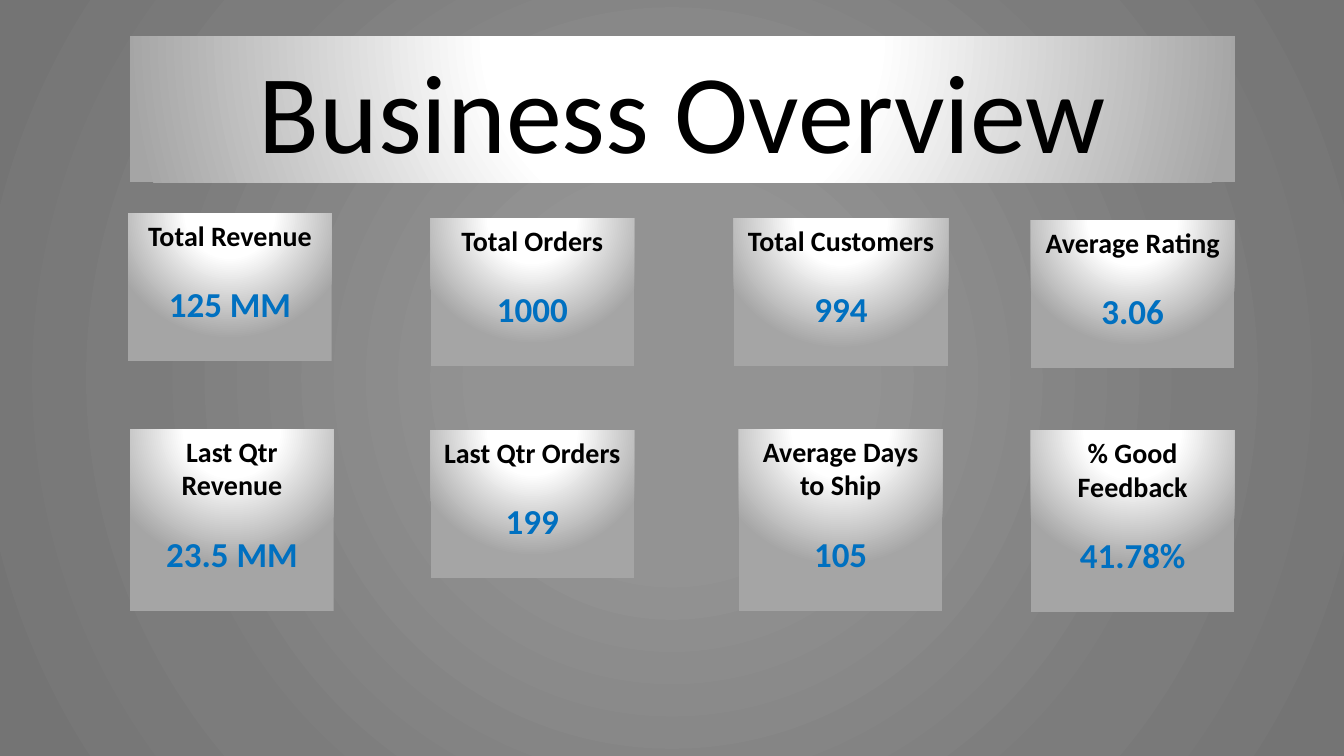
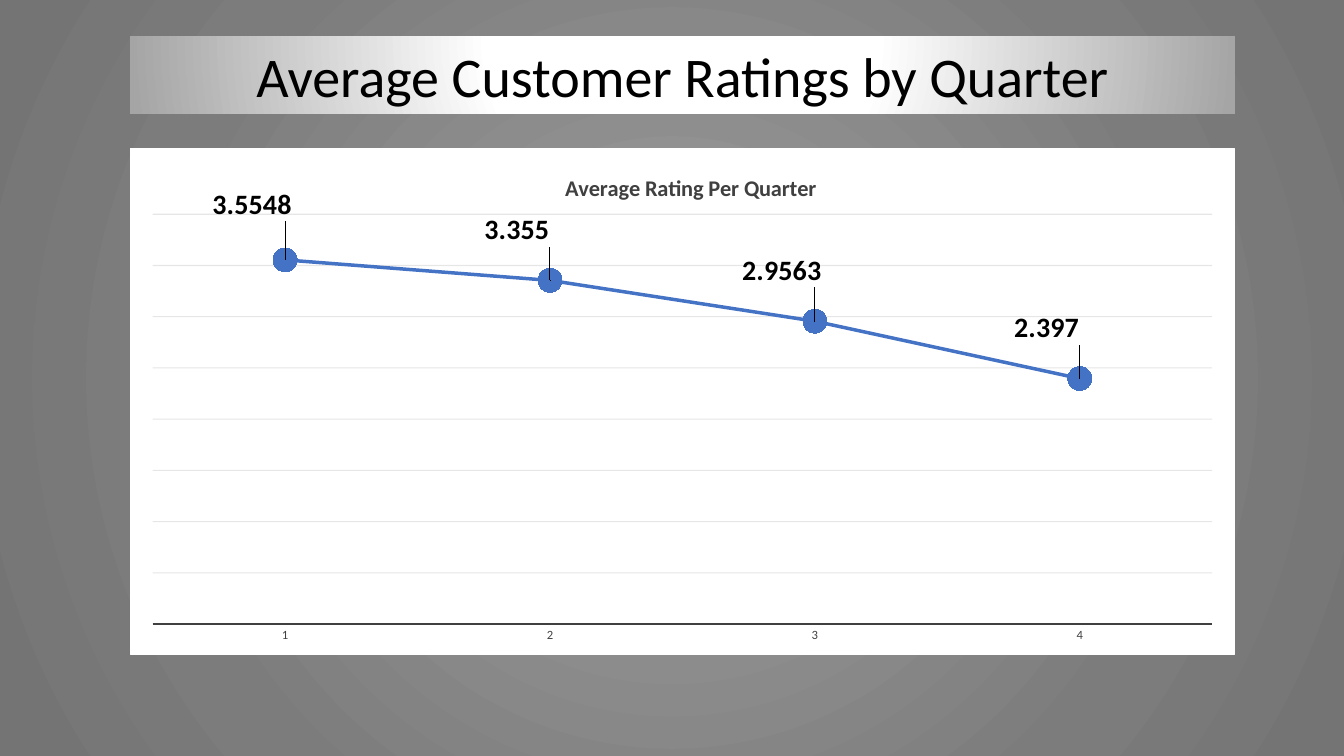
"""Build a two-slide business overview: key figures and customer ratings."""
import pptx
import pptx.chart.data
import pptx.dml.color
import pptx.enum.chart
import pptx.enum.shapes
import pptx.enum.text
import pptx.oxml
import pptx.oxml.ns
import pptx.util

Cm = pptx.util.Cm
Pt = pptx.util.Pt
qn = pptx.oxml.ns.qn
FONT = "Calibri"
HEX = {
    "text": "000000",
    "value": "0070C0",
    "white": "FFFFFF",
    "silver": "A5A5A5",
    "centre": "939393",
    "middle": "7C7C7C",
    "edge": "747474",
    "axis": "404040",
    "grid": "0D0D0D",
    "series": "4472C4",
}
COLORS = {name: pptx.dml.color.RGBColor.from_string(value) for name, value in HEX.items()}
BACKGROUND_STOPS = [(0, "centre"), (23, "centre"), (69, "middle"), (97, "edge")]
PANEL_STOPS = [(0, "white"), (35, "white"), (100, "silver")]


def set_radial_fill(owner, fill, stops, top, bottom):
    fill.gradient()
    gradient = next(owner.element.iter(qn("a:gradFill")))
    stop_xml = "".join(
        f'<a:gs pos="{position * 1000}"><a:srgbClr val="{HEX[name]}"/></a:gs>'
        for position, name in stops
    )
    gradient.getparent().replace(gradient, pptx.oxml.parse_xml(
        f'<a:gradFill {pptx.oxml.ns.nsdecls("a")} rotWithShape="1"><a:gsLst>{stop_xml}</a:gsLst>'
        f'<a:path path="circle"><a:fillToRect l="50000" t="{top * 1000}" r="50000" '
        f'b="{bottom * 1000}"/></a:path></a:gradFill>'
    ))


def set_layout(parent, index, settings):
    for layout in parent.findall(qn("c:layout")):
        parent.remove(layout)
    values = "".join(f'<c:{name} val="{value}"/>' for name, value in settings.items())
    parent.insert(index, pptx.oxml.parse_xml(
        f'<c:layout {pptx.oxml.ns.nsdecls("c")}><c:manualLayout>{values}</c:manualLayout></c:layout>'
    ))


presentation = pptx.Presentation()
presentation.slide_width = Cm(33.87)
presentation.slide_height = Cm(19.05)
master = presentation.slide_master
set_radial_fill(master, master.background.fill, BACKGROUND_STOPS, 50, 50)
blank_layout = presentation.slide_layouts[6]
overview = presentation.slides.add_slide(blank_layout)
ratings = presentation.slides.add_slide(blank_layout)

LEFT, TOP, WIDTH = 3.28, 0.91, 27.84
CARD_WIDTH, SHORT, TALL = 5.13, 3.71, 4.57
CARD_SIZE = 20
panels = [
    (overview, LEFT, TOP, WIDTH, 3.68, 80, "Business Overview"),
    (overview, 3.23, 5.38, CARD_WIDTH, SHORT, CARD_SIZE, "Total Revenue\n125 MM"),
    (overview, 10.85, 5.51, CARD_WIDTH, SHORT, CARD_SIZE, "Total Orders\n1000"),
    (overview, 18.49, 5.51, 5.41, SHORT, CARD_SIZE, "Total Customers\n994"),
    (overview, 25.98, 5.56, CARD_WIDTH, SHORT, CARD_SIZE, "Average Rating\n3.06"),
    (overview, LEFT, 10.82, CARD_WIDTH, TALL, CARD_SIZE, "Last Qtr Revenue\n23.5 MM"),
    (overview, 10.85, 10.85, CARD_WIDTH, SHORT, CARD_SIZE, "Last Qtr Orders\n199"),
    (overview, 18.62, 10.82, CARD_WIDTH, TALL, CARD_SIZE, "Average Days to Ship\n105"),
    (overview, 25.98, 10.85, CARD_WIDTH, TALL, CARD_SIZE, "% Good Feedback\n41.78%"),
    (ratings, LEFT, TOP, WIDTH, 1.96, 40, "Average Customer Ratings by Quarter"),
]
for slide, left, top, width, height, heading_size, text in panels:
    shape = slide.shapes.add_shape(
        pptx.enum.shapes.MSO_SHAPE.RECTANGLE, Cm(left), Cm(top), Cm(width), Cm(height)
    )
    shape.shadow.inherit = False
    shape.line.fill.background()
    set_radial_fill(shape, shape.fill, PANEL_STOPS, -80, 180)
    text_frame = shape.text_frame
    text_frame.word_wrap = True
    text_frame.vertical_anchor = pptx.enum.text.MSO_ANCHOR.TOP
    text_frame.text = text
    styles = [(heading_size, "text", 0), (25, "value", 22)]
    for paragraph, (size, color, space) in zip(text_frame.paragraphs, styles):
        paragraph.alignment = pptx.enum.text.PP_ALIGN.CENTER
        paragraph.space_before = Pt(space)
        font = paragraph.runs[0].font
        font.name = FONT
        font.size = Pt(size)
        font.bold = heading_size == CARD_SIZE
        font.color.rgb = COLORS[color]

chart_data = pptx.chart.data.CategoryChartData()
chart_data.categories = ["1", "2", "3", "4"]
chart_data.add_series("Series 1", [3.5548, 3.355, 2.9563, 2.397])
chart = ratings.shapes.add_chart(
    pptx.enum.chart.XL_CHART_TYPE.LINE_MARKERS,
    Cm(LEFT), Cm(3.73), Cm(WIDTH), Cm(12.78), chart_data,
).chart
chart.has_legend = False
chart.font.name = FONT
chart.font.size = Pt(10)
chart.font.color.rgb = COLORS["text"]
chart.element.find(qn("c:chart")).addnext(pptx.oxml.parse_xml(
    f'<c:spPr {pptx.oxml.ns.nsdecls("c", "a")}>'
    f'<a:solidFill><a:srgbClr val="{HEX["white"]}"/></a:solidFill>'
    f'<a:ln w="9525"><a:solidFill><a:srgbClr val="{HEX["white"]}"/></a:solidFill></a:ln></c:spPr>'
))
set_layout(next(chart.element.iter(qn("c:plotArea"))), 0, {
    "layoutTarget": "inner", "xMode": "edge", "yMode": "edge",
    "x": 0.02, "y": 0.13, "w": 0.96, "h": 0.81,
})

chart.has_title = True
title = chart.chart_title
title.text_frame.text = "Average Rating Per Quarter"
title_font = title.text_frame.paragraphs[0].runs[0].font
title_font.name = FONT
title_font.size = Pt(16)
title_font.bold = True
title_font.color.rgb = COLORS["axis"]
set_layout(next(chart.element.iter(qn("c:title"))), 1, {
    "xMode": "edge", "yMode": "edge", "x": 0.39, "y": 0.04,
})

category_axis = chart.category_axis
category_axis.major_tick_mark = pptx.enum.chart.XL_TICK_MARK.NONE
category_axis.format.line.color.rgb = COLORS["axis"]
category_axis.format.line.width = Pt(1.5)
category_axis.tick_labels.font.name = FONT
category_axis.tick_labels.font.size = Pt(9)
category_axis.tick_labels.font.color.rgb = COLORS["axis"]

value_axis = chart.value_axis
value_axis.visible = False
value_axis.minimum_scale = 0
value_axis.maximum_scale = 4
value_axis.major_unit = 0.5
value_axis.has_major_gridlines = True
grid_line = value_axis.major_gridlines.format.line
grid_line.color.rgb = COLORS["grid"]
grid_line.width = Pt(0.75)
grid_color = next(next(chart.element.iter(qn("c:majorGridlines"))).iter(qn("a:srgbClr")))
grid_color.append(pptx.oxml.parse_xml(f'<a:alpha {pptx.oxml.ns.nsdecls("a")} val="10000"/>'))

plot = chart.plots[0]
plot.vary_by_categories = False
series = plot.series[0]
series.smooth = False
series.format.line.color.rgb = COLORS["series"]
series.format.line.width = Pt(2.5)
series.marker.style = pptx.enum.chart.XL_MARKER_STYLE.CIRCLE
series.marker.size = 17
series.marker.format.fill.solid()
series.marker.format.fill.fore_color.rgb = COLORS["series"]
series.marker.format.line.fill.background()

label_offsets = [(-0.03, -0.11), (-0.03, -0.1), (-0.03, -0.1), (-0.03, -0.1)]
for index in range(len(label_offsets)):
    label = series.points[index].data_label
    label.position = pptx.enum.chart.XL_LABEL_POSITION.CENTER
    label.font.name = FONT
    label.font.size = Pt(20)
    label.font.bold = True
    label.font.color.rgb = COLORS["text"]
for label_element, (x, y) in zip(chart.element.iter(qn("c:dLbl")), label_offsets):
    set_layout(label_element, 1, {"x": x, "y": y})

presentation.save("out.pptx")
